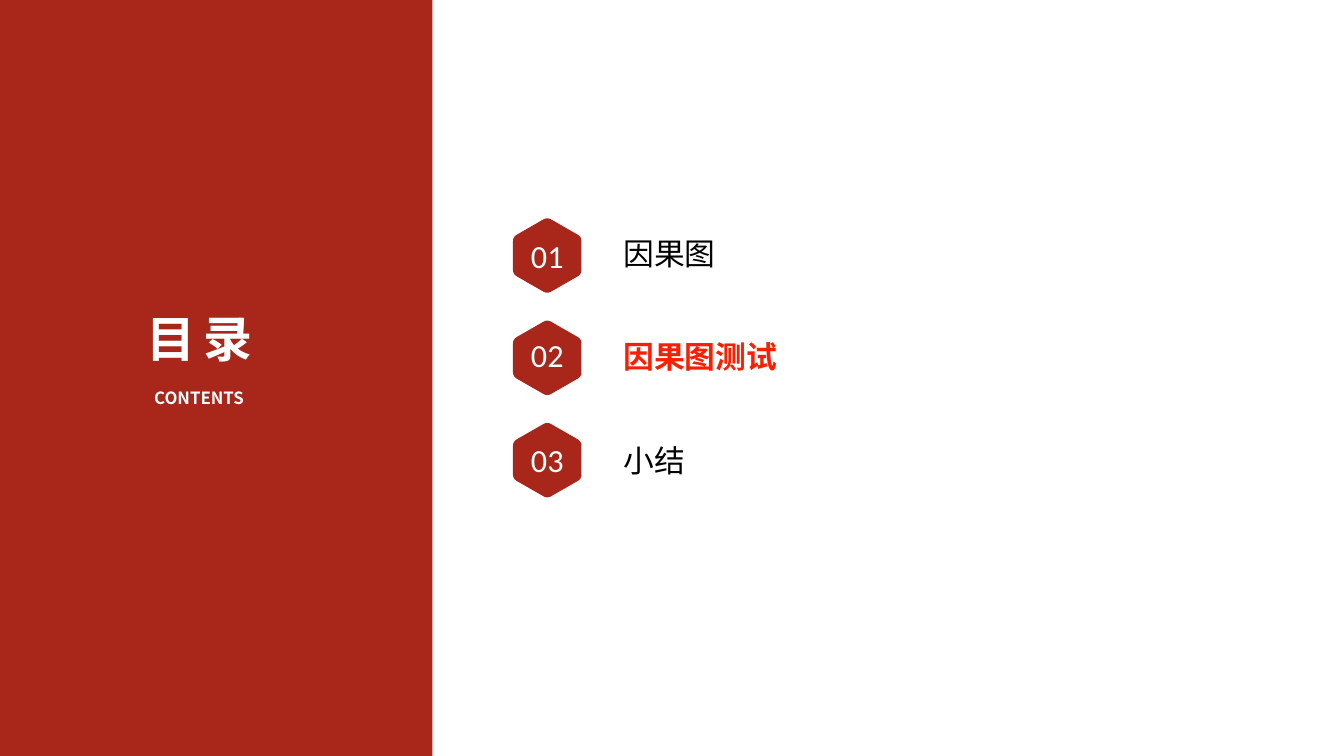
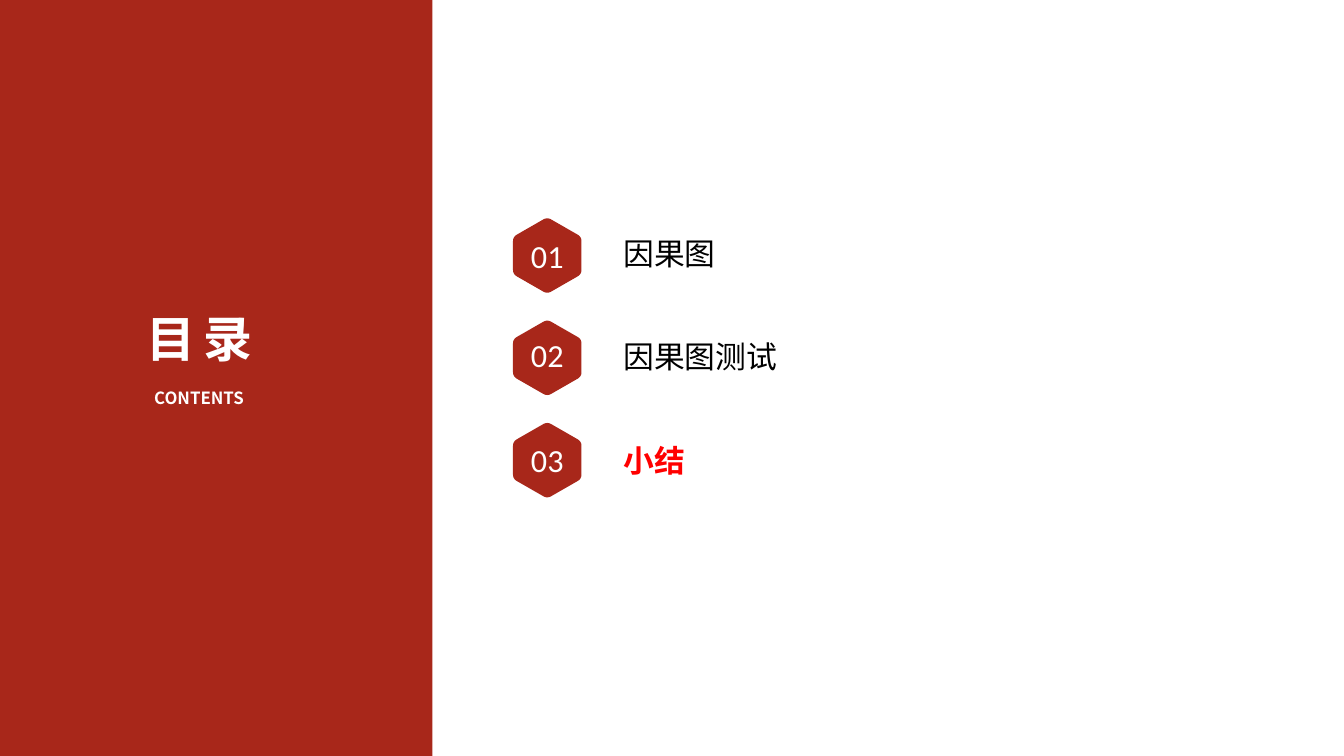
from pptx import Presentation
from pptx.dml.color import RGBColor
from pptx.enum import shapes, text
from pptx.oxml import ns
from pptx.util import Inches, Pt
from lxml import etree

COLORS = {
    "brick": "A8271A",
    "white": "FFFFFF",
    "black": "000000",
    "orange_red": "FA1F00",
    "red": "FF0000",
}
CJK_FONT = "Noto Sans CJK SC"
NUMBER_FONT = "Calibri"

# Contents entries: title, label width, label height, top of the number box
ENTRIES = [
    ("因果图", 4.18, 0.93, 4.54),
    ("因果图测试", 4.18, 0.78, 6.52),
    ("小结", 5.03, 0.76, 8.6),
]
LABEL_TOP, LABEL_PITCH = 4.6, 2.06
BADGE_CENTER_X, BADGE_CENTER_Y, BADGE_PITCH = 10.86, 5.07, 2.03

# Sharp hexagon corners around the badge centre, and how far each is rounded
HEXAGON = [(0, -0.76), (0.68, -0.37), (0.68, 0.37),
           (0, 0.76), (-0.68, 0.37), (-0.68, -0.37)]
CORNER_CUT = 0.09
CORNER_STEPS = 8


def color(name):
    return RGBColor.from_string(COLORS[name])


def paint(shape, fill):
    shape.fill.solid()
    shape.fill.fore_color.rgb = color(fill)
    shape.line.fill.background()
    shape.shadow.inherit = False


def add_text(slide, box, words, size, ink, font=CJK_FONT, bold=False,
             align=text.PP_ALIGN.LEFT, anchor=text.MSO_ANCHOR.TOP, spacing=0):
    frame = slide.shapes.add_textbox(*map(Inches, box)).text_frame
    frame.word_wrap = True
    frame.vertical_anchor = anchor
    frame.margin_left = frame.margin_right = Inches(0.05)
    frame.margin_top = frame.margin_bottom = Inches(0.05)
    frame.text = words
    paragraph = frame.paragraphs[0]
    paragraph.alignment = align
    run = paragraph.runs[0]
    run.font.size = Pt(size)
    run.font.bold = bold
    run.font.name = font
    run.font.color.rgb = color(ink)
    # East Asian typeface and letter spacing
    properties = run._r.get_or_add_rPr()
    east_asian = etree.SubElement(properties, ns.qn("a:ea"))
    east_asian.set("typeface", font)
    if spacing:
        properties.set("spc", str(round(spacing * 100)))


def toward(start, end, distance):
    """Return the point at a distance from start on the way to end."""
    dx, dy = end[0] - start[0], end[1] - start[1]
    share = distance / (dx * dx + dy * dy) ** 0.5
    return start[0] + dx * share, start[1] + dy * share


def rounded_outline(corners):
    """Replace every corner by a short quadratic curve."""
    points = []
    for index, corner in enumerate(corners):
        first = toward(corner, corners[index - 1], CORNER_CUT)
        last = toward(corner, corners[(index + 1) % len(corners)], CORNER_CUT)
        for step in range(CORNER_STEPS + 1):
            t = step / CORNER_STEPS
            points.append(tuple(
                (1 - t) ** 2 * a + 2 * t * (1 - t) * b + t ** 2 * c
                for a, b, c in zip(first, corner, last)))
    return points


def add_badge(slide, center_x, center_y):
    points = [(Inches(center_x + x), Inches(center_y + y))
              for x, y in rounded_outline(HEXAGON)]
    builder = slide.shapes.build_freeform(*points[0])
    builder.add_line_segments(points[1:], close=True)
    paint(builder.convert_to_shape(), "brick")


def add_side_panel(slide, height):
    panel = slide.shapes.add_shape(
        shapes.MSO_SHAPE.RECTANGLE, 0, 0, Inches(8.58), height)
    paint(panel, "brick")
    add_text(slide, (1.87, 7.64, 4.16, 0.99), "CONTENTS", 24, "white",
             bold=True, align=text.PP_ALIGN.CENTER)
    add_text(slide, (1.12, 6.08, 5.68, 2.85), "目录", 70, "white",
             bold=True, align=text.PP_ALIGN.CENTER, spacing=11.7)


def add_entry(slide, index, highlight):
    title, width, height, number_top = ENTRIES[index]
    label_box = (12.32, LABEL_TOP + index * LABEL_PITCH, width, height)
    add_text(slide, label_box, title, 44, highlight or "black",
             bold=bool(highlight))
    add_badge(slide, BADGE_CENTER_X, BADGE_CENTER_Y + index * BADGE_PITCH)
    add_text(slide, (9.99, number_top, 1.74, 1.05), f"{index + 1:02}", 46,
             "white", font=NUMBER_FONT, align=text.PP_ALIGN.CENTER,
             anchor=text.MSO_ANCHOR.MIDDLE)


def add_contents_slide(presentation, current, highlight):
    slide = presentation.slides.add_slide(presentation.slide_layouts[6])
    slide.background.fill.solid()
    slide.background.fill.fore_color.rgb = color("white")
    add_side_panel(slide, presentation.slide_height)
    for index in range(len(ENTRIES)):
        add_entry(slide, index, highlight if index == current else None)


def main():
    presentation = Presentation()
    presentation.slide_width = Inches(26.67)
    presentation.slide_height = Inches(15)
    add_contents_slide(presentation, current=1, highlight="orange_red")
    add_contents_slide(presentation, current=2, highlight="red")
    presentation.save("out.pptx")


if __name__ == "__main__":
    main()
